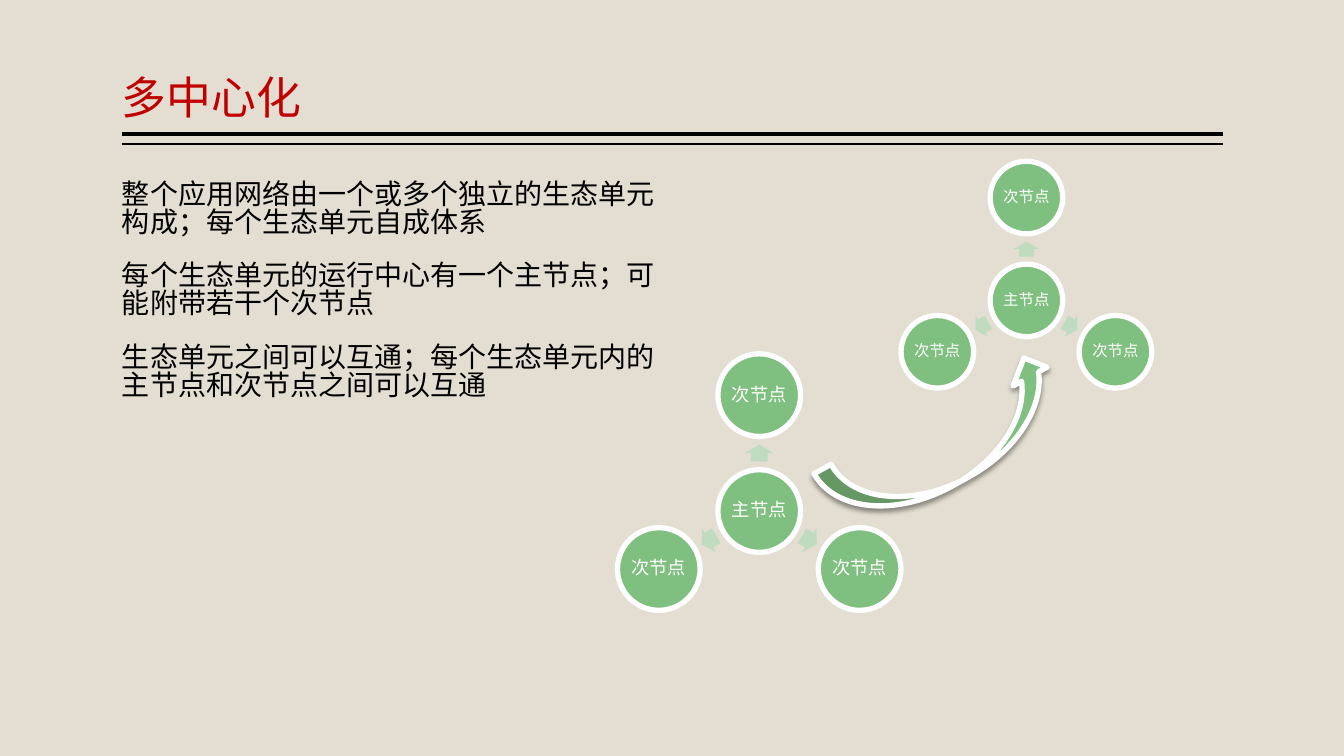
"""Build the slide on multi-centre networks, with two node clusters joined by an arrow."""
from dataclasses import dataclass
from math import cos, radians, sin

from lxml.etree import SubElement
from pptx import Presentation
from pptx.dml.color import RGBColor
from pptx.enum.shapes import MSO_CONNECTOR as Connector, MSO_SHAPE as Preset
from pptx.enum.text import MSO_ANCHOR as Anchor, MSO_AUTO_SIZE as AutoSize, PP_ALIGN as Align
from pptx.oxml.ns import qn
from pptx.util import Inches, Pt

COLORS = {
    "background": "E3DED1",
    "title": "C00000",
    "ink": "000000",
    "node": "7FBF7F",
    "link": "C0DCC0",
    "white": "FFFFFF",
}
CJK_FONT = "Noto Sans CJK SC"
BRANCH_ANGLES = (270, 30, 150)
POINTS = (
    "整个应用网络由一个或多个独立的生态单元构成；每个生态单元自成体系",
    "每个生态单元的运行中心有一个主节点；可能附带若干个次节点",
    "生态单元之间可以互通；每个生态单元内的主节点和次节点之间可以互通",
)


@dataclass(frozen=True)
class Cluster:
    x: float
    y: float
    reach: float
    diameter: float
    link_width: float
    link_height: float
    text_size: float


@dataclass(frozen=True)
class Rule:
    y: float
    weight: float


CLUSTERS = (
    Cluster(7.53, 5.07, 1.15, 0.82, 0.17, 0.28, 13),
    Cluster(10.18, 2.98, 1.02, 0.72, 0.15, 0.25, 11),
)
RULES = (Rule(1.33, 3), Rule(1.43, 1))


def color(name: str) -> RGBColor:
    return RGBColor.from_string(COLORS[name])


def write(para, text: str, *, size: float, ink: str, font: str = "Arial",
          spacing: float = 0.9, before: float = 0, align=Align.LEFT) -> None:
    para.alignment = align
    para.line_spacing = spacing
    para.space_before = Pt(before)
    para.space_after = Pt(0)
    span = para.add_run()
    span.text = text
    span.font.size = Pt(size)
    span.font.name = font
    span.font.color.rgb = color(ink)
    SubElement(span.font._element, qn("a:ea"), typeface=CJK_FONT)


def set_frame(frame, side: float, edge: float, anchor, wrap: bool = True) -> None:
    frame.margin_left = frame.margin_right = Inches(side)
    frame.margin_top = frame.margin_bottom = Inches(edge)
    frame.vertical_anchor = anchor
    frame.word_wrap = wrap
    frame.auto_size = AutoSize.NONE


def place(box, left: float, top: float, width: float, height: float) -> None:
    box.left, box.top = Inches(left), Inches(top)
    box.width, box.height = Inches(width), Inches(height)


def add_preset(page, preset, x: float, y: float, width: float, height: float, *,
               fill: str, outline: float = 0, rotation: float = 0):
    shape = page.shapes.add_shape(preset, Inches(x - width / 2), Inches(y - height / 2),
                                  Inches(width), Inches(height))
    shape.shadow.inherit = False
    shape.rotation = rotation
    shape.fill.solid()
    shape.fill.fore_color.rgb = color(fill)
    if outline:
        shape.line.color.rgb = color("white")
        shape.line.width = Pt(outline)
    else:
        shape.line.fill.background()
    return shape


def add_node(page, cluster: Cluster, x: float, y: float, text: str) -> None:
    node = add_preset(page, Preset.OVAL, x, y, cluster.diameter, cluster.diameter,
                      fill="node", outline=3.78)
    set_frame(node.text_frame, 0.02, 0.02, Anchor.MIDDLE, wrap=False)
    write(node.text_frame.paragraphs[0], text, size=cluster.text_size,
          ink="white", align=Align.CENTER)


def add_cluster(page, cluster: Cluster) -> None:
    add_node(page, cluster, cluster.x, cluster.y, "主节点")
    for angle in BRANCH_ANGLES:
        dx = cluster.reach * cos(radians(angle))
        dy = cluster.reach * sin(radians(angle))
        link = add_preset(page, Preset.RIGHT_ARROW, cluster.x + dx / 2, cluster.y + dy / 2,
                          cluster.link_width, cluster.link_height, fill="link", rotation=angle)
        link.adjustments[0], link.adjustments[1] = 0.6, 0.5
        add_node(page, cluster, cluster.x + dx, cluster.y + dy, "次节点")


def add_rule(page, rule: Rule) -> None:
    line = page.shapes.add_connector(Connector.STRAIGHT, Inches(1.21), Inches(rule.y),
                                     Inches(12.13), Inches(rule.y))
    line.line.color.rgb = color("ink")
    line.line.width = Pt(rule.weight)
    SubElement(line._element.spPr, qn("a:effectLst"))


def add_bridge(page) -> None:
    bridge = add_preset(page, Preset.CURVED_UP_ARROW, 9.385, 4.415, 2.57, 0.77,
                        fill="node", outline=3.82, rotation=331.1)
    effects = bridge._element.spPr.find(qn("a:effectLst"))
    shadow = SubElement(effects, qn("a:outerShdw"), blurRad=str(Pt(3.5)), dist=str(Pt(2)),
                        dir="5400000", rotWithShape="0")
    tone = SubElement(shadow, qn("a:srgbClr"), val=COLORS["ink"])
    SubElement(tone, qn("a:alpha"), val="38000")


def fill_text(page) -> None:
    title, body = page.placeholders
    place(title, 1.21, 0.08, 10.92, 1.2)
    set_frame(title.text_frame, 0, 0.05, Anchor.BOTTOM)
    write(title.text_frame.paragraphs[0], "多中心化", size=32, ink="title", font=CJK_FONT)
    place(body, 1.21, 1.75, 5.38, 5)
    frame = body.text_frame
    set_frame(frame, 0, 0.05, Anchor.TOP)
    for index, text in enumerate(POINTS):
        para = frame.add_paragraph() if index else frame.paragraphs[0]
        write(para, text, size=20, ink="ink", spacing=0.84, before=18)
        props = para._p.get_or_add_pPr()
        props.set("marL", "0")
        props.set("indent", "0")
        SubElement(props, qn("a:buNone"))


def main() -> None:
    deck = Presentation()
    deck.slide_width, deck.slide_height = Inches(13.33), Inches(7.5)
    page = deck.slides.add_slide(deck.slide_layouts[1])
    page.background.fill.solid()
    page.background.fill.fore_color.rgb = color("background")
    for rule in RULES:
        add_rule(page, rule)
    fill_text(page)
    for cluster in CLUSTERS:
        add_cluster(page, cluster)
    add_bridge(page)
    deck.save("out.pptx")


main()
